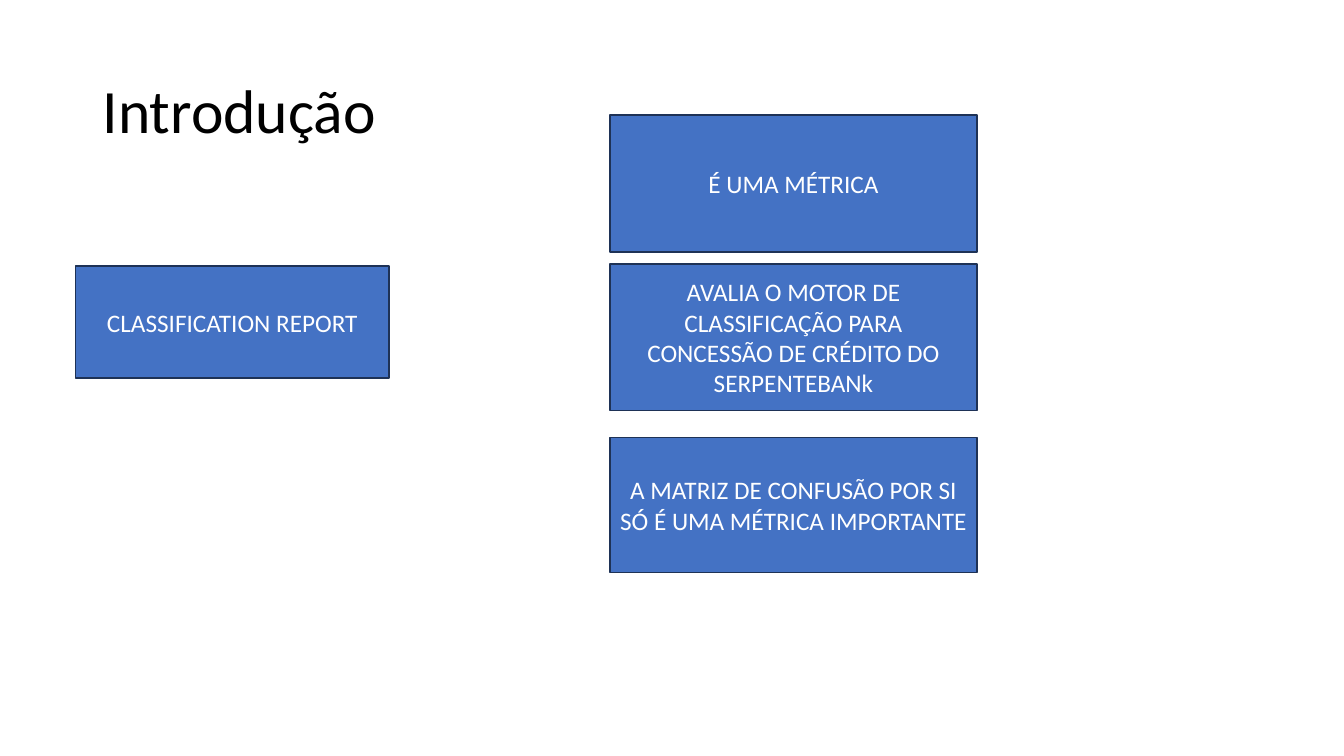
from pptx import Presentation
from pptx import util as u
from pptx.dml.color import RGBColor
from pptx.enum import shapes, text

TITLE = "Introdução"
TITLE_AREA = (92, 40, 1150, 145)

SUBJECT = "CLASSIFICATION REPORT"
SUBJECT_AREA = (75, 264, 311, 111)

# statement, top, height
STATEMENTS = [
    ("É UMA MÉTRICA", 114, 136),
    ("AVALIA O MOTOR DE CLASSIFICAÇÃO PARA CONCESSÃO DE CRÉDITO DO SERPENTEBANk", 262, 145),
    ("A MATRIZ DE CONFUSÃO POR SI SÓ É UMA MÉTRICA IMPORTANTE", 434, 134),
]
STATEMENT_LEFT, STATEMENT_WIDTH = 605, 364

COLORS = {"title": "000000", "box": "4472C4", "border": "1E3256", "label": "FFFFFF"}
FONT = "Calibri"
PX = 9144  # EMU, 100 px to the inch
SLIDE_SIZE = (1333, 750)


def emu(lengths):
    return [u.Emu(length * PX) for length in lengths]


def write(shape, words, size, color, align=text.PP_ALIGN.LEFT, spacing=1.0):
    frame = shape.text_frame
    frame.word_wrap = True
    frame.vertical_anchor = text.MSO_ANCHOR.MIDDLE
    paragraph = frame.paragraphs[0]
    paragraph.alignment = align
    paragraph.line_spacing = spacing
    run = paragraph.add_run()
    run.text = words
    run.font.name = FONT
    run.font.size = u.Pt(size)
    run.font.color.rgb = RGBColor.from_string(COLORS[color])


def add_box(slide, words, area):
    box = slide.shapes.add_shape(shapes.MSO_SHAPE.RECTANGLE, *emu(area))
    box.shadow.inherit = False
    box.fill.solid()
    box.fill.fore_color.rgb = RGBColor.from_string(COLORS["box"])
    box.line.color.rgb = RGBColor.from_string(COLORS["border"])
    box.line.width = u.Pt(1)
    write(box, words, size=18, color="label", align=text.PP_ALIGN.CENTER)


def main():
    deck = Presentation()
    deck.slide_width, deck.slide_height = emu(SLIDE_SIZE)
    slide = deck.slides.add_slide(deck.slide_layouts[6])

    title = slide.shapes.add_textbox(*emu(TITLE_AREA))
    write(title, TITLE, size=44, color="title", spacing=0.9)

    add_box(slide, SUBJECT, SUBJECT_AREA)
    for statement, top, height in STATEMENTS:
        add_box(slide, statement, (STATEMENT_LEFT, top, STATEMENT_WIDTH, height))

    deck.save("out.pptx")


if __name__ == "__main__":
    main()
